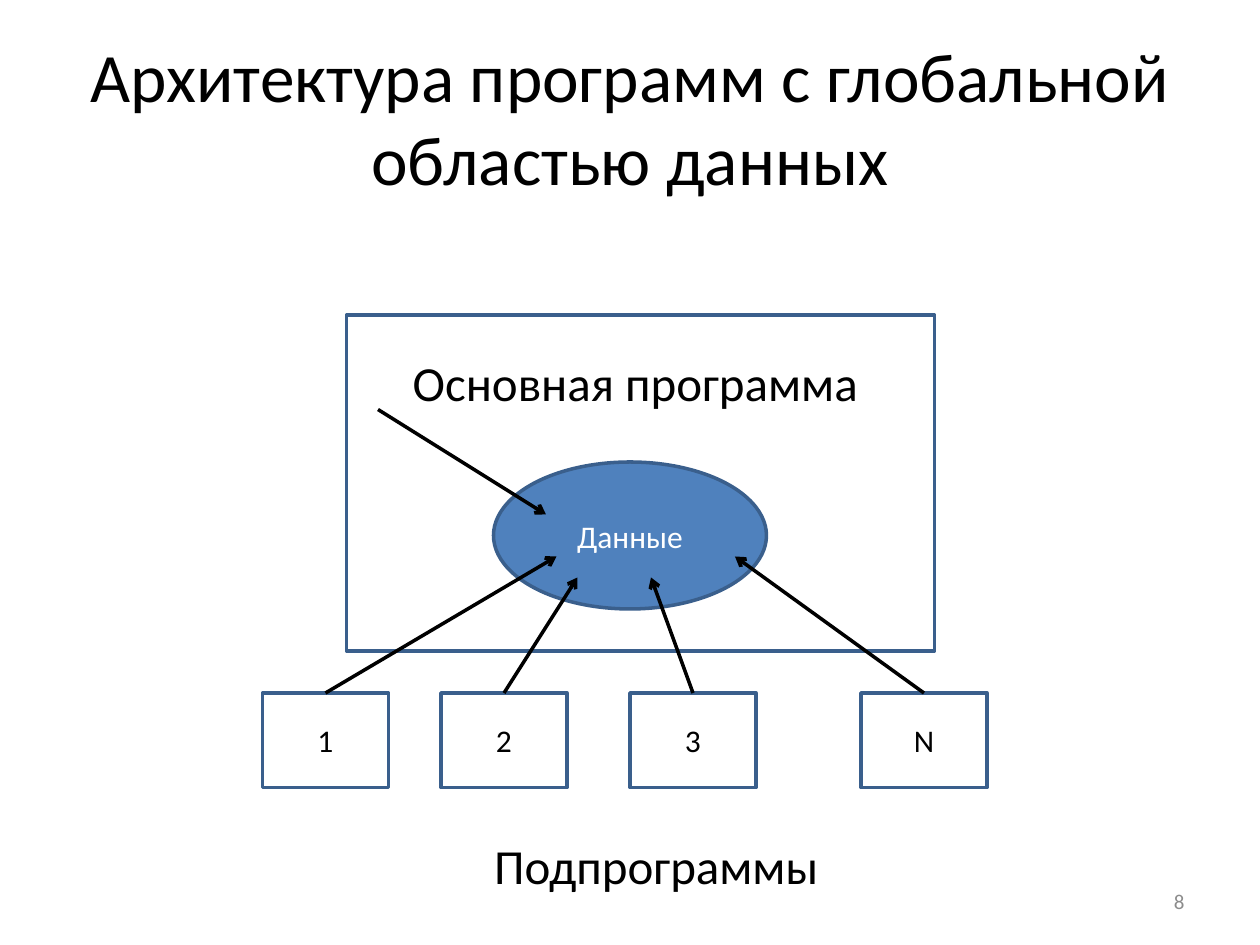
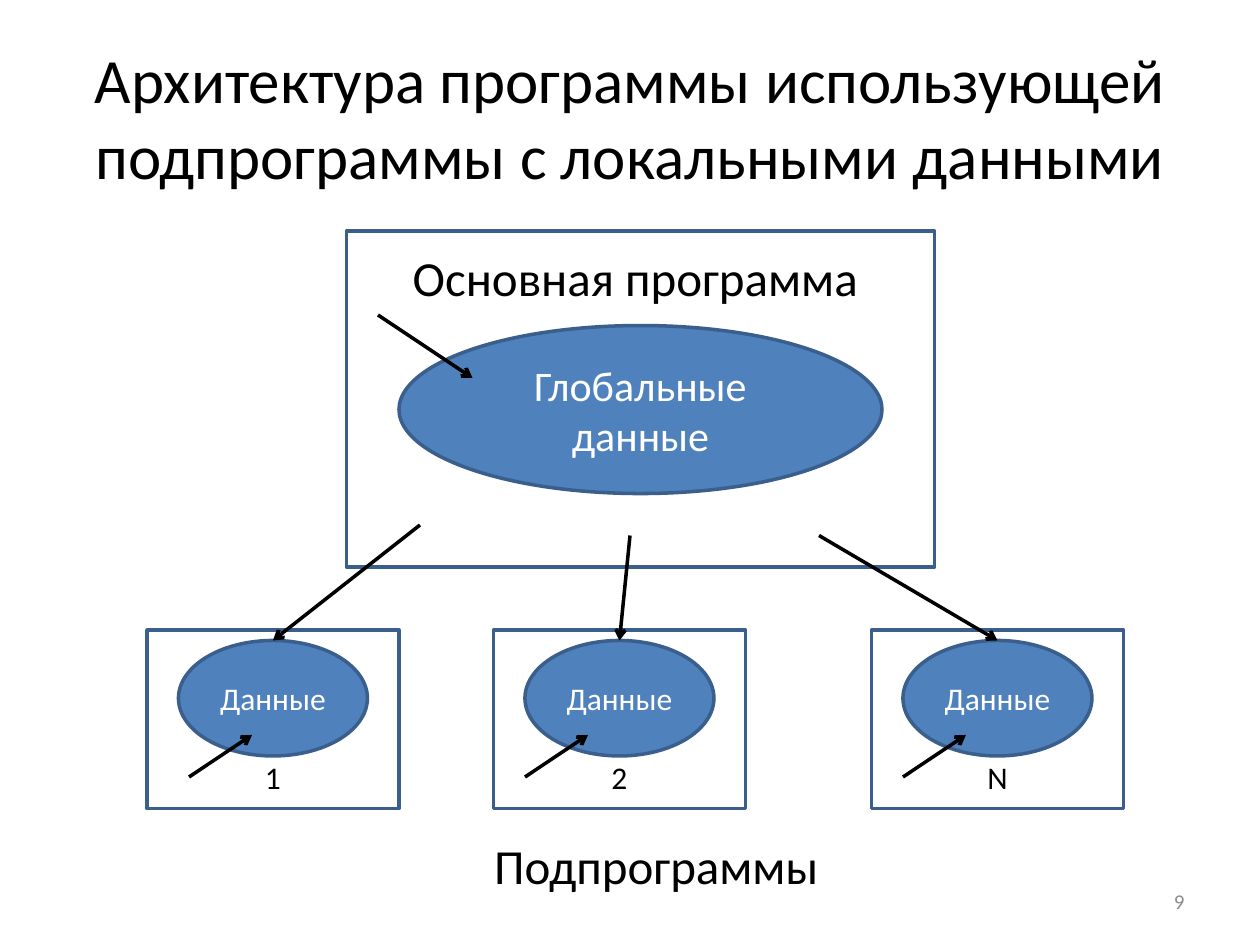
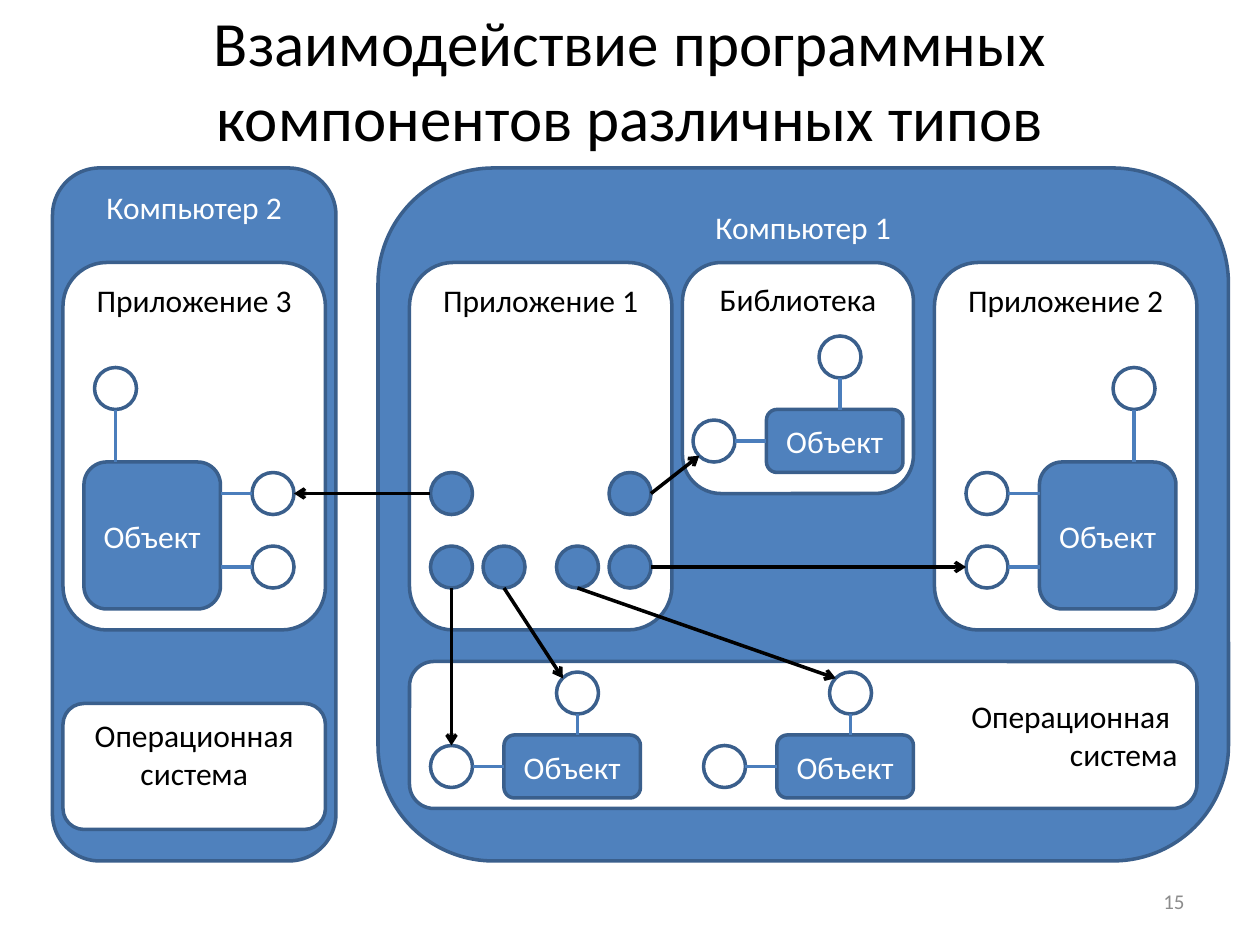
from collections import namedtuple

from lxml import etree
from pptx import Presentation
from pptx.dml.color import RGBColor
from pptx.enum.shapes import MSO_CONNECTOR, MSO_SHAPE
from pptx.enum.text import MSO_ANCHOR, PP_ALIGN
from pptx.oxml.ns import qn
from pptx.util import Inches, Pt

RECT, ROUND, OVAL = MSO_SHAPE.RECTANGLE, MSO_SHAPE.ROUNDED_RECTANGLE, MSO_SHAPE.OVAL
STRAIGHT = MSO_CONNECTOR.STRAIGHT
TOP, MIDDLE, BOTTOM = MSO_ANCHOR.TOP, MSO_ANCHOR.MIDDLE, MSO_ANCHOR.BOTTOM
CENTER, RIGHT = PP_ALIGN.CENTER, PP_ALIGN.RIGHT
TOP_SIDE, LEFT_SIDE = 0, 1

# Shared look; the slide is a grid of 120 columns by 90 rows
CELL = Inches(10) / 120
FONT = "Calibri"
BLACK, WHITE, BLUE = "000000", "FFFFFF", "4F81BD"
EDGE, LINK, GRAY = "3A5F8C", "4B7EBC", "8C8C8C"
LINE_WIDTH = 2
PORT = 4  # diameter of an interface circle


class Box(namedtuple("Box", "left top width height")):
    def inner(self, column, row, width, height):
        return Box(self.left + column, self.top + row, width, height)

    def point(self, column, row):
        return self.left + column, self.top + row


def color(code):
    return RGBColor.from_string(code)


def cells(*counts):
    return [round(count * CELL) for count in counts]


def write(frame, lines, size, code, align=CENTER, anchor=MIDDLE):
    frame.word_wrap = True
    frame.vertical_anchor = anchor
    for index, line in enumerate(lines):
        para = frame.add_paragraph() if index else frame.paragraphs[0]
        para.alignment = align
        span = para.add_run()
        span.text = line
        span.font.name = FONT
        span.font.size = Pt(size)
        span.font.color.rgb = color(code)


def add_label(page, box, text, size=28, code=BLACK, align=CENTER, anchor=TOP):
    label = page.shapes.add_textbox(*cells(*box))
    write(label.text_frame, [text], size, code, align, anchor)


def add_figure(page, kind, box, fill=None, lines=(), size=18, align=CENTER, anchor=MIDDLE):
    figure = page.shapes.add_shape(kind, *cells(*box))
    figure.shadow.inherit = False
    if fill:
        figure.fill.solid()
        figure.fill.fore_color.rgb = color(fill)
    else:
        figure.fill.background()
    figure.line.color.rgb = color(EDGE)
    figure.line.width = Pt(LINE_WIDTH)
    write(figure.text_frame, lines, size, WHITE if fill == BLUE else BLACK, align, anchor)
    return figure


def add_line(page, start, end, code=BLACK, arrow=True):
    line = page.shapes.add_connector(STRAIGHT, *cells(*start, *end))
    line.line.width = Pt(LINE_WIDTH)
    line.line.color.rgb = color(code)
    properties = line.element.spPr
    if arrow:
        etree.SubElement(properties.find(qn("a:ln")), qn("a:tailEnd"), type="arrow")
    etree.SubElement(properties, qn("a:effectLst"))
    return line


def add_page(deck, title, number, size=36, top=3.6):
    page = deck.slides.add_slide(deck.slide_layouts[5])
    heading = page.shapes.title
    heading.left, heading.top, heading.width, heading.height = cells(6, top, 108, 15)
    write(heading.text_frame, [title], size, BLACK)
    add_label(page, Box(86, 83.4, 28, 4.8), number, 12, GRAY, RIGHT, MIDDLE)
    return page


# Main program and subprograms
def add_main_program(page, box, label_row, data, data_text, size, arrow):
    add_figure(page, RECT, box, WHITE)
    add_label(page, box.inner(0, label_row, 55, 7), "Основная программа")
    add_figure(page, OVAL, box.inner(*data), BLUE, [data_text], size)
    start, end = arrow
    add_line(page, box.point(*start), box.point(*end))


def add_subprograms_label(page):
    add_label(page, Box(35, 79, 55, 7), "Подпрограммы")


def add_plain_subprogram(page, box, name, target):
    frame = add_figure(page, RECT, box, lines=[name])
    arrow = add_line(page, box.point(box.width / 2, 0), target)
    arrow.begin_connect(frame, TOP_SIDE)


def add_data_subprogram(page, box, name, source, arrow_column):
    frame = add_figure(page, RECT, box, lines=[name], anchor=BOTTOM)
    frame.text_frame.margin_bottom = Inches(0.1)
    add_figure(page, OVAL, box.inner(3, 1, 18, 11), BLUE, ["Данные"])
    add_line(page, source, box.point(box.width / 2, 1))
    add_line(page, box.point(arrow_column, 14), box.point(arrow_column + 6, 10))


def build_global_data(deck):
    page = add_page(deck, "Архитектура программ с глобальной областью данных", "8", 39.6)
    add_main_program(page, Box(33, 30, 56, 32), 3, (14, 14, 26, 14), "Данные", 18,
                     ((3, 9), (19, 19)))
    for name, left, target in (("1", 25, (53, 53)), ("2", 42, (55, 55)),
                               ("3", 60, (62, 55)), ("N", 82, (70, 53))):
        add_plain_subprogram(page, Box(left, 66, 12, 9), name, target)
    add_subprograms_label(page)


def build_local_data(deck):
    page = add_page(deck, "Архитектура программы использующей подпрограммы с локальными данными", "9")
    add_main_program(page, Box(33, 22, 56, 32), 1, (5, 9, 46, 16), "Глобальные данные", 24,
                     ((3, 8), (12, 14)))
    for name, left, source, arrow_column in (("1", 14, (40, 50), 4), ("2", 47, (60, 51), 3),
                                             ("N", 83, (78, 51), 3)):
        add_data_subprogram(page, Box(left, 60, 24, 17), name, source, arrow_column)
    add_subprograms_label(page)


# Software components
def add_port(page, column, row, fill=WHITE):
    """Draw an interface circle around a grid point."""
    add_figure(page, OVAL, Box(column - PORT / 2, row - PORT / 2, PORT, PORT), fill)


def add_object(page, box, top_port, side_ports, on_right=False):
    """Draw an object with one port above it and ports on one side.

    top_port is (column, gap); side_ports is (rows, gap).
    """
    body = add_figure(page, ROUND, box, BLUE, ["Объект"])
    column, gap = top_port
    add_port(page, *box.point(column, -gap - PORT / 2))
    add_line(page, box.point(column, -gap), box.point(column, 0), LINK, False)
    rows, gap = side_ports
    edge, direction = (box.width, 1) if on_right else (0, -1)
    for row in rows:
        add_port(page, *box.point(edge + direction * (gap + PORT / 2), row))
        link = add_line(page, box.point(edge + direction * gap, row), box.point(edge, row), LINK, False)
        if row == box.height / 2 and not on_right:
            link.end_connect(body, LEFT_SIDE)


def add_container(page, box, name, fill=WHITE):
    add_figure(page, ROUND, box, fill, [name], anchor=TOP)


def add_second_computer(page, box):
    add_container(page, box, "Компьютер 2", BLUE)
    add_container(page, box.inner(1, 9, 25, 35), "Приложение 3")
    add_object(page, box.inner(3, 28, 13, 14), (3, 5), ((3, 10), 3), on_right=True)
    add_container(page, box.inner(1, 51, 25, 12), "Операционная система")


def add_first_computer(page, box):
    add_container(page, box, "Компьютер 1", BLUE)
    # Operating system
    add_figure(page, ROUND, box.inner(3, 47, 75, 14), WHITE, ["Операционная ", "система"], align=RIGHT)
    for column in (12, 38):
        add_object(page, box.inner(column, 54, 13, 6), (7, 2), ((3,), 3))
    # Applications and library
    add_container(page, box.inner(3, 9, 25, 35), "Приложение 1")
    for column, row in ((7, 31), (24, 31), (7, 38), (12, 38), (19, 38), (24, 38)):
        add_port(page, *box.point(column, row), BLUE)
    add_container(page, box.inner(53, 9, 25, 35), "Приложение 2")
    add_object(page, box.inner(63, 28, 13, 14), (9, 5), ((3, 10), 3))
    add_container(page, box.inner(29, 9, 22, 22), "Библиотека")
    add_object(page, box.inner(37, 23, 13, 6), (7, 3), ((3,), 3))
    # Calls from the first application
    for start, end in (((5, 31), (-8, 31)), ((7, 40), (7, 55)), ((12, 40), (17.6, 48.6)),
                       ((19, 40), (43.6, 48.6)), ((26, 38), (56, 38)), ((26, 31), (30.6, 27.4))):
        add_line(page, box.point(*start), box.point(*end))


def build_components(deck):
    page = add_page(deck, "Взаимодействие программных компонентов различных типов", "15", top=0)
    add_second_computer(page, Box(5, 16, 27, 66))
    add_first_computer(page, Box(36, 16, 81, 66))


def main():
    deck = Presentation()
    deck.slide_width, deck.slide_height = Inches(10), Inches(7.5)
    build_global_data(deck)
    build_local_data(deck)
    build_components(deck)
    deck.save("out.pptx")


if __name__ == "__main__":
    main()
